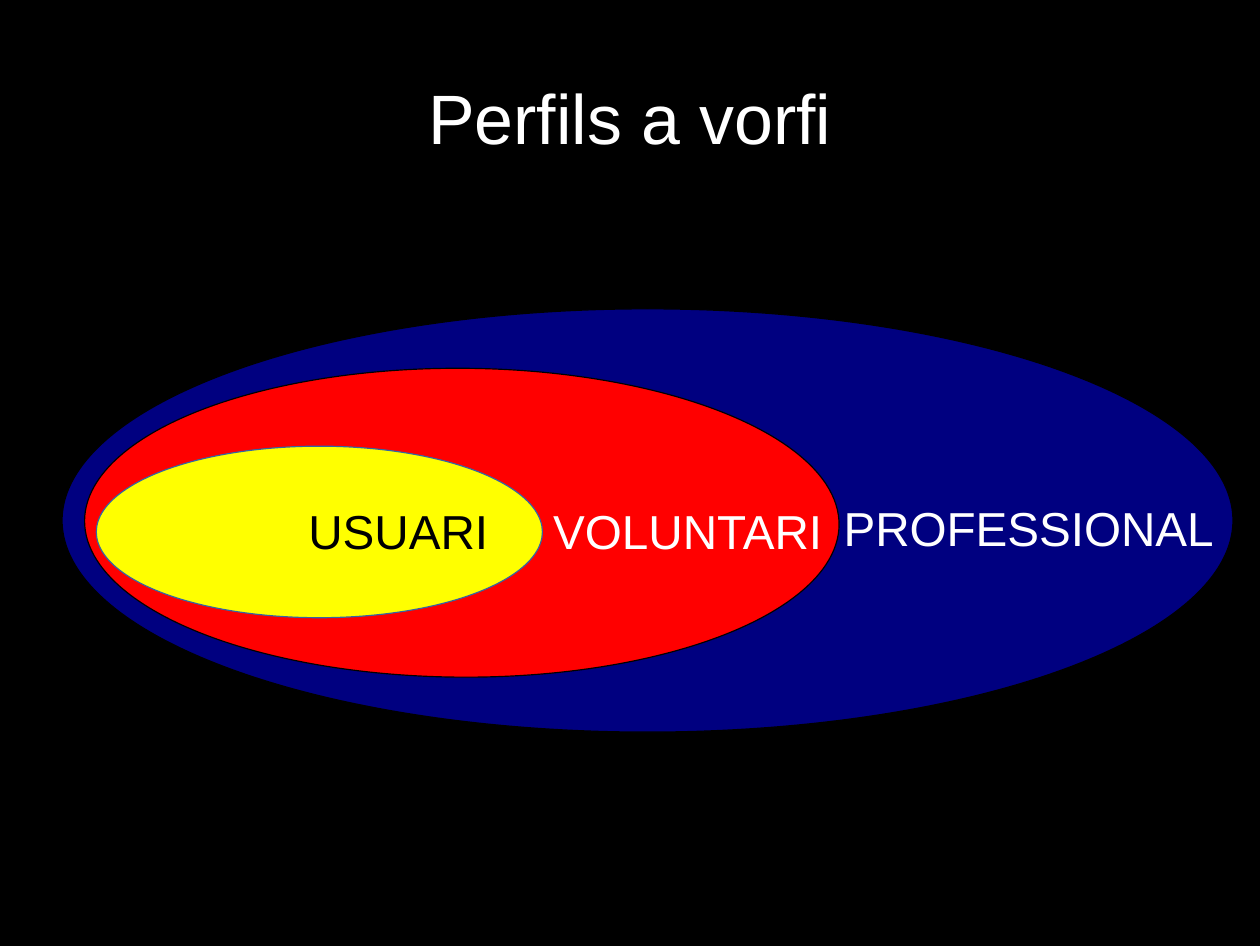
from dataclasses import dataclass

from pptx import Presentation
from pptx.dml.color import RGBColor
from pptx.enum.shapes import MSO_SHAPE
from pptx.enum.text import MSO_ANCHOR, PP_ALIGN
from pptx.slide import Slide
from pptx.util import Cm, Pt

ELLIPSE = MSO_SHAPE.OVAL
TOP = MSO_ANCHOR.TOP
MIDDLE = MSO_ANCHOR.MIDDLE
LEFT = PP_ALIGN.LEFT
CENTER = PP_ALIGN.CENTER

FONT = "Arial"
BLACK = "000000"
WHITE = "FFFFFF"
NAVY = "000080"
RED = "FF0000"
YELLOW = "FFFF00"
BLUE = "3465A4"


@dataclass(frozen=True)
class Box:
    left: float
    top: float
    width: float
    height: float

    def lengths(self) -> tuple[Cm, Cm, Cm, Cm]:
        return Cm(self.left), Cm(self.top), Cm(self.width), Cm(self.height)


@dataclass(frozen=True)
class Label:
    text: str
    box: Box
    color: str = WHITE
    size: int = 30
    alignment: PP_ALIGN = LEFT
    anchor: MSO_ANCHOR = TOP
    side_margin: float = 0.25
    edge_margin: float = 0.13


@dataclass(frozen=True)
class Profile:
    box: Box
    fill: str
    outline: str
    label: Label
    rotation: float = 0


TITLE = Label("Perfils a vorfi", Box(1.4, 0.84, 25.2, 3.51), size=44,
              alignment=CENTER, anchor=MIDDLE, side_margin=0, edge_margin=0)

PROFILES = [
    Profile(Box(1.38, 6.86, 26.01, 9.4), NAVY, BLACK,
            Label("PROFESSIONAL", Box(18.49, 10.94, 8.89, 2.62))),
    Profile(Box(1.88, 8.18, 16.76, 6.86), RED, BLACK,
            Label("VOLUNTARI", Box(12.04, 11.02, 6.5, 2.62)), rotation=0.3),
    Profile(Box(2.14, 9.91, 9.91, 3.81), YELLOW, BLUE,
            Label("USUARI", Box(6.6, 11.02, 4.57, 2.62), color=BLACK)),
]


def rgb(color: str) -> RGBColor:
    return RGBColor.from_string(color)


def draw_ellipse(slide: Slide, profile: Profile) -> None:
    shape = slide.shapes.add_shape(ELLIPSE, *profile.box.lengths())
    shape.shadow.inherit = False
    shape.rotation = profile.rotation
    shape.fill.solid()
    shape.fill.fore_color.rgb = rgb(profile.fill)
    shape.line.color.rgb = rgb(profile.outline)
    shape.line.width = Pt(0)


def draw_label(slide: Slide, label: Label) -> None:
    text_frame = slide.shapes.add_textbox(*label.box.lengths()).text_frame
    text_frame.word_wrap = True
    text_frame.vertical_anchor = label.anchor
    text_frame.margin_left = text_frame.margin_right = Cm(label.side_margin)
    text_frame.margin_top = text_frame.margin_bottom = Cm(label.edge_margin)
    text_frame.text = label.text
    paragraph = text_frame.paragraphs[0]
    paragraph.alignment = label.alignment
    font = paragraph.runs[0].font
    font.name = FONT
    font.size = Pt(label.size)
    font.color.rgb = rgb(label.color)


def main() -> None:
    presentation = Presentation()
    presentation.slide_width = Cm(27.99)
    presentation.slide_height = Cm(21.01)
    slide = presentation.slides.add_slide(presentation.slide_layouts[6])
    slide.background.fill.solid()
    slide.background.fill.fore_color.rgb = rgb(BLACK)

    draw_label(slide, TITLE)
    for profile in PROFILES:
        draw_ellipse(slide, profile)
    for profile in PROFILES:
        draw_label(slide, profile.label)

    presentation.save("out.pptx")


if __name__ == "__main__":
    main()
